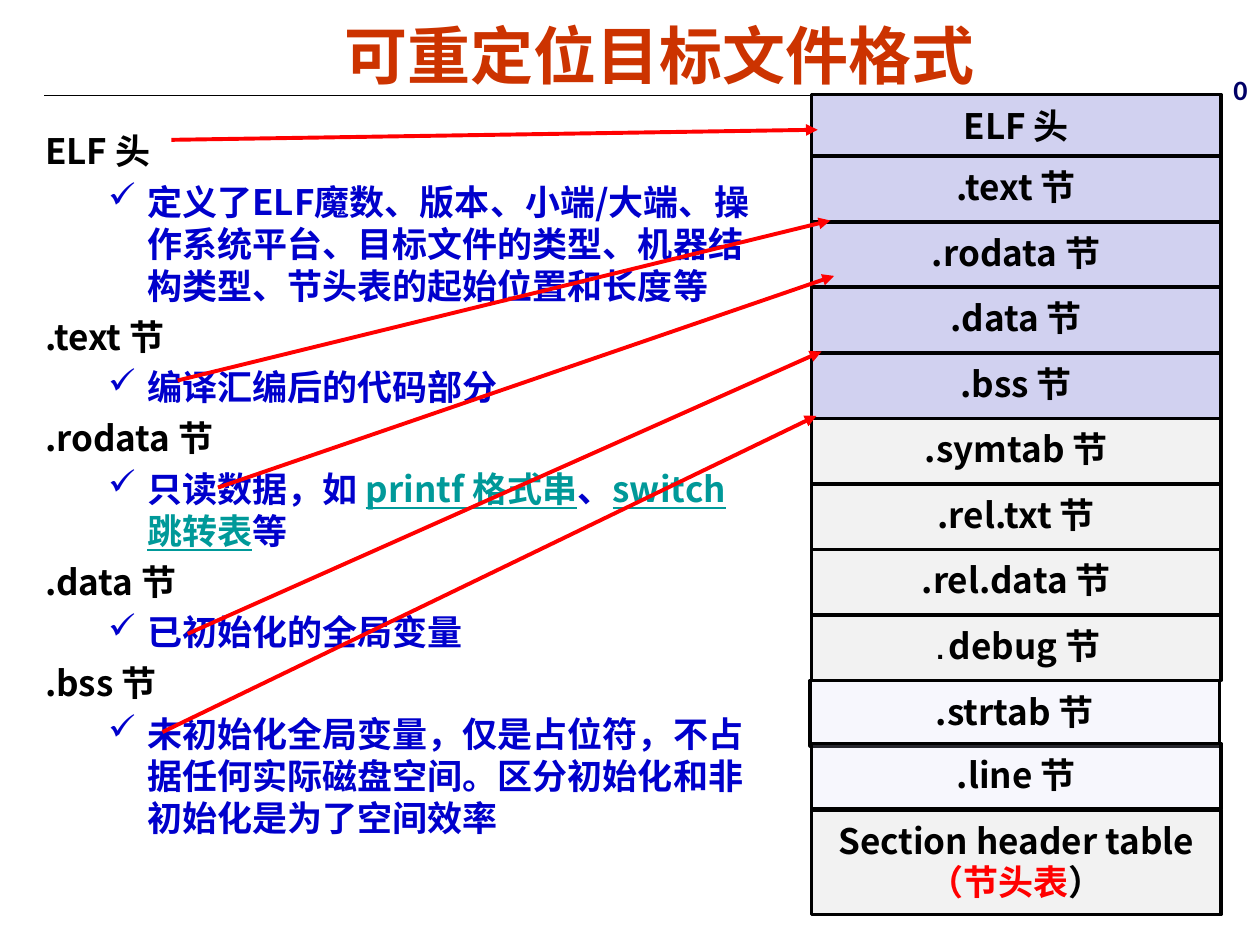
from dataclasses import dataclass

import pptx
import pptx.dml.color
import pptx.enum.shapes
import pptx.enum.text
import pptx.oxml
import pptx.oxml.ns
import pptx.util
from pptx.util import Inches

NOTO = "Noto Sans CJK SC"
BLACK, RED, BLUE, TEAL = "000000", "FF0000", "0000CC", "009999"
LILAC, GRAY, PALE = "D1D1F0", "F2F2F2", "D6D6F5"
MIDDLE = pptx.enum.text.MSO_ANCHOR.MIDDLE
CENTER = pptx.enum.text.PP_ALIGN.CENTER


@dataclass
class Span:
    text: str
    color: str = BLACK
    size: int = 20
    font: str = NOTO
    under: bool = False


@dataclass
class Row:
    lines: list[list[Span]]
    fill: str
    top: float
    left: float = 6.44
    height: float = 0.52
    space: float = 0.94
    alpha: int = 100


@dataclass
class Topic:
    head: str
    body: list[Span]


@dataclass
class Arrow:
    x1: float
    y1: float
    x2: float
    y2: float


def rgb(code: str):
    return pptx.dml.color.RGBColor.from_string(code)


def node(parent, tag: str, **attrs: str):
    item = pptx.oxml.parse_xml(f'<a:{tag} {pptx.oxml.ns.nsdecls("a")}/>')
    for key, value in attrs.items():
        item.set(key, value)
    parent.append(item)
    return item


def write(para, spans: list[Span]) -> None:
    for span in spans:
        run = para.add_run()
        run.text = span.text
        font = run.font
        font.size = pptx.util.Pt(span.size)
        font.bold = True
        font.name = span.font
        font.color.rgb = rgb(span.color)
        if span.under:
            font.underline = True
        node(run._r.get_or_add_rPr(), "ea", typeface=NOTO)


def add_text(slide, left: float, top: float, width: float, height: float, wrap: bool = True):
    box = slide.shapes.add_textbox(Inches(left), Inches(top), Inches(width), Inches(height))
    box.text_frame.word_wrap = wrap
    return box.text_frame


def add_line(slide, end: Arrow, color: str, width: float):
    line = slide.shapes.add_connector(
        pptx.enum.shapes.MSO_CONNECTOR.STRAIGHT,
        Inches(end.x1), Inches(end.y1), Inches(end.x2), Inches(end.y2))
    line.line.color.rgb = rgb(color)
    line.line.width = pptx.util.Pt(width)
    node(line._element.spPr, "effectLst")
    return line


def add_arrow(slide, end: Arrow) -> None:
    line = add_line(slide, end, RED, 2.25)
    node(line.line._get_or_add_ln(), "tailEnd", type="triangle")


def add_row(slide, row: Row) -> None:
    rect = slide.shapes.add_shape(
        pptx.enum.shapes.MSO_SHAPE.RECTANGLE,
        Inches(row.left), Inches(row.top), Inches(3.25), Inches(row.height))
    rect.shadow.inherit = False
    rect.fill.solid()
    rect.fill.fore_color.rgb = rgb(row.fill)
    if row.alpha < 100:
        tint = rect._element.spPr.find(".//" + pptx.oxml.ns.qn("a:srgbClr"))
        node(tint, "alpha", val=str(row.alpha * 1000))
    rect.line.color.rgb = rgb(BLACK)
    rect.line.width = pptx.util.Pt(2)
    frame = rect.text_frame
    frame.word_wrap = False
    frame.vertical_anchor = MIDDLE
    for i, spans in enumerate(row.lines):
        para = frame.add_paragraph() if i else frame.paragraphs[0]
        para.alignment = CENTER
        para.line_spacing = row.space
        write(para, spans)


def indent(para, left: float, hang: float):
    props = para._p.get_or_add_pPr()
    props.set("marL", str(Inches(left)))
    props.set("indent", str(Inches(-hang)))
    return props


def add_topics(slide, topics: list[Topic]) -> None:
    frame = add_text(slide, 0.26, 0.98, 5.85, 6.28)
    for i, topic in enumerate(topics):
        head = frame.add_paragraph() if i else frame.paragraphs[0]
        indent(head, 0.38, 0.38)
        if i:
            head.space_before = pptx.util.Pt(5)
        write(head, [Span(topic.head)])
        body = frame.add_paragraph()
        body.level = 1
        props = indent(body, 0.81, 0.31)
        node(props, "buChar", char="✓")
        body.space_before = pptx.util.Pt(5)
        write(body, topic.body)


TOPICS = [
    Topic("ELF 头", [Span("定义了ELF魔数、版本、小端/大端、操作系统平台、目标文件的类型、"
                         "机器结构类型、节头表的起始位置和长度等", BLUE)]),
    Topic(".text 节", [Span("编译汇编后的代码部分", BLUE)]),
    Topic(".rodata 节", [
        Span("只读数据，如 ", BLUE), Span("printf 格式串", TEAL, under=True),
        Span("、", BLUE), Span("switch 跳转表", TEAL, under=True), Span("等", BLUE)]),
    Topic(".data 节", [Span("已初始化的全局变量", BLUE)]),
    Topic(".bss 节", [Span("未初始化全局变量，仅是占位符，不占据任何实际磁盘空间。"
                          "区分初始化和非初始化是为了空间效率", BLUE)]),
]

PARTS = [
    ([Span(".text 节")], LILAC),
    ([Span(".rodata 节")], LILAC),
    ([Span(".data 节")], LILAC),
    ([Span(".bss 节")], LILAC),
    ([Span(".symtab 节")], GRAY),
    ([Span(".rel.txt 节")], GRAY),
    ([Span(".rel.data 节")], GRAY),
    ([Span(".", size=16, font="Courier New"), Span("debug 节")], GRAY),
]

ROWS = [
    Row([[Span("ELF 头")]], LILAC, 0.75, space=0.98),
    *(Row([spans], fill, 1.24 + 0.52 * i) for i, (spans, fill) in enumerate(PARTS)),
    Row([[Span(".strtab 节")]], PALE, 5.4, left=6.43, alpha=19),
    Row([[Span(".line 节")]], PALE, 5.9, alpha=19),
    Row([[Span("Section header table")], [Span("（节头表", RED), Span("）")]],
        GRAY, 6.43, height=0.83, space=0.98),
]

ARROWS = [
    Arrow(1.36, 1.11, 6.49, 1.03),
    Arrow(1.41, 3.02, 6.59, 1.75),
    Arrow(1.73, 3.87, 6.62, 2.19),
    Arrow(1.49, 5.03, 6.52, 2.79),
    Arrow(1.29, 5.81, 6.48, 3.3),
]


def main() -> None:
    deck = pptx.Presentation()
    deck.slide_width, deck.slide_height = Inches(10), Inches(7.5)
    slide = deck.slides.add_slide(deck.slide_layouts[6])
    add_line(slide, Arrow(0.35, 0.76, 9.65, 0.76), BLACK, 0.75)

    title = add_text(slide, 0.47, 0, 9.53, 0.86)
    title.vertical_anchor = MIDDLE
    para = title.paragraphs[0]
    para.alignment = CENTER
    indent(para, 0.13, 0.13)
    write(para, [Span("可重定位目标文件格式", "CC3300", 36, "Arial")])

    add_topics(slide, TOPICS)
    for row in ROWS:
        add_row(slide, row)
    start = add_text(slide, 9.69, 0.54, 0.31, 0.36, wrap=False)
    start.paragraphs[0].line_spacing = 0.98
    write(start.paragraphs[0], [Span("0", "000066", 16, "Calibri")])
    for arrow in ARROWS:
        add_arrow(slide, arrow)
    deck.save("out.pptx")


if __name__ == "__main__":
    main()
